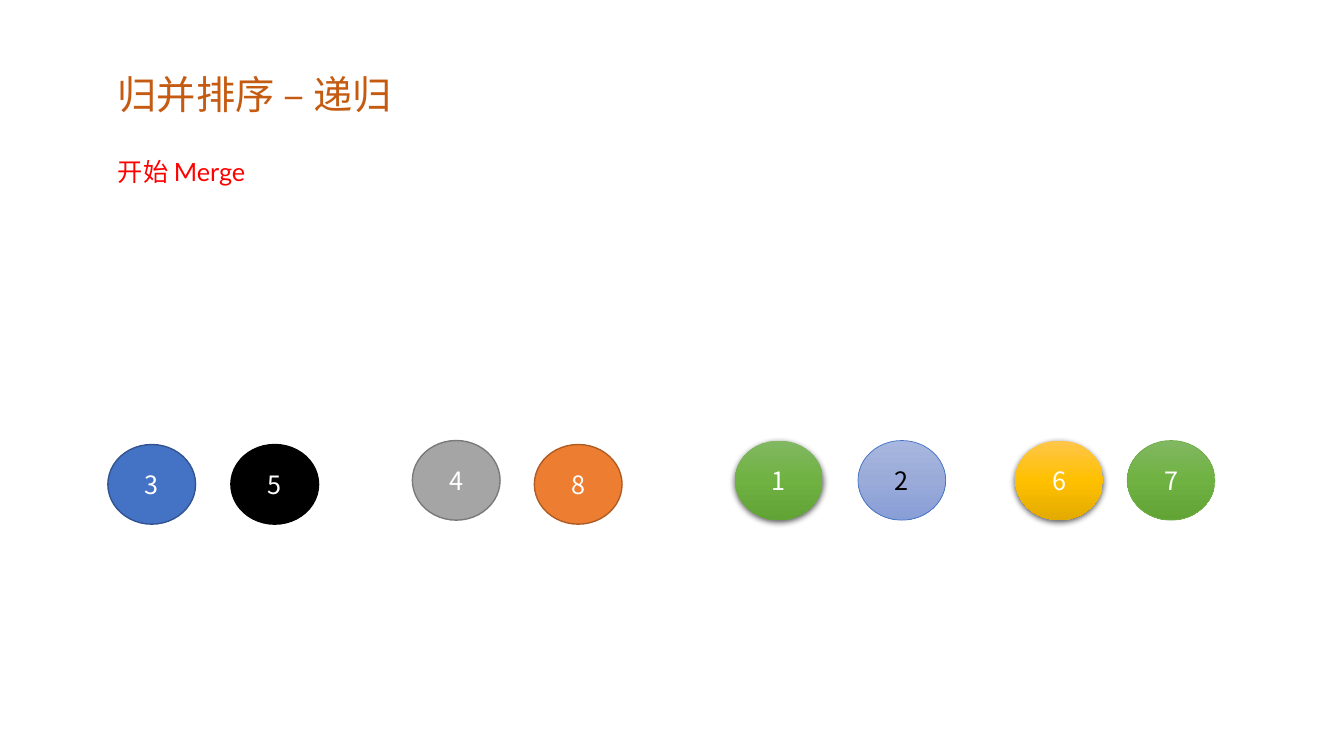
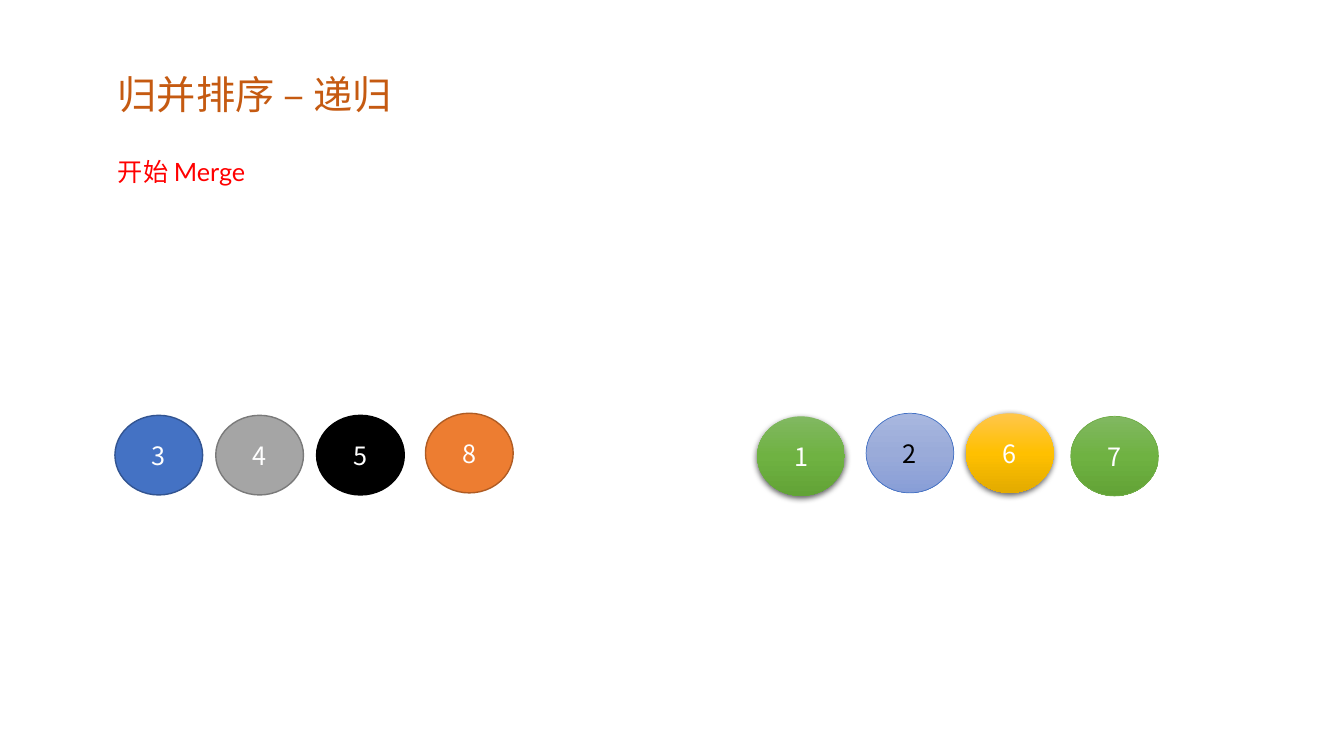
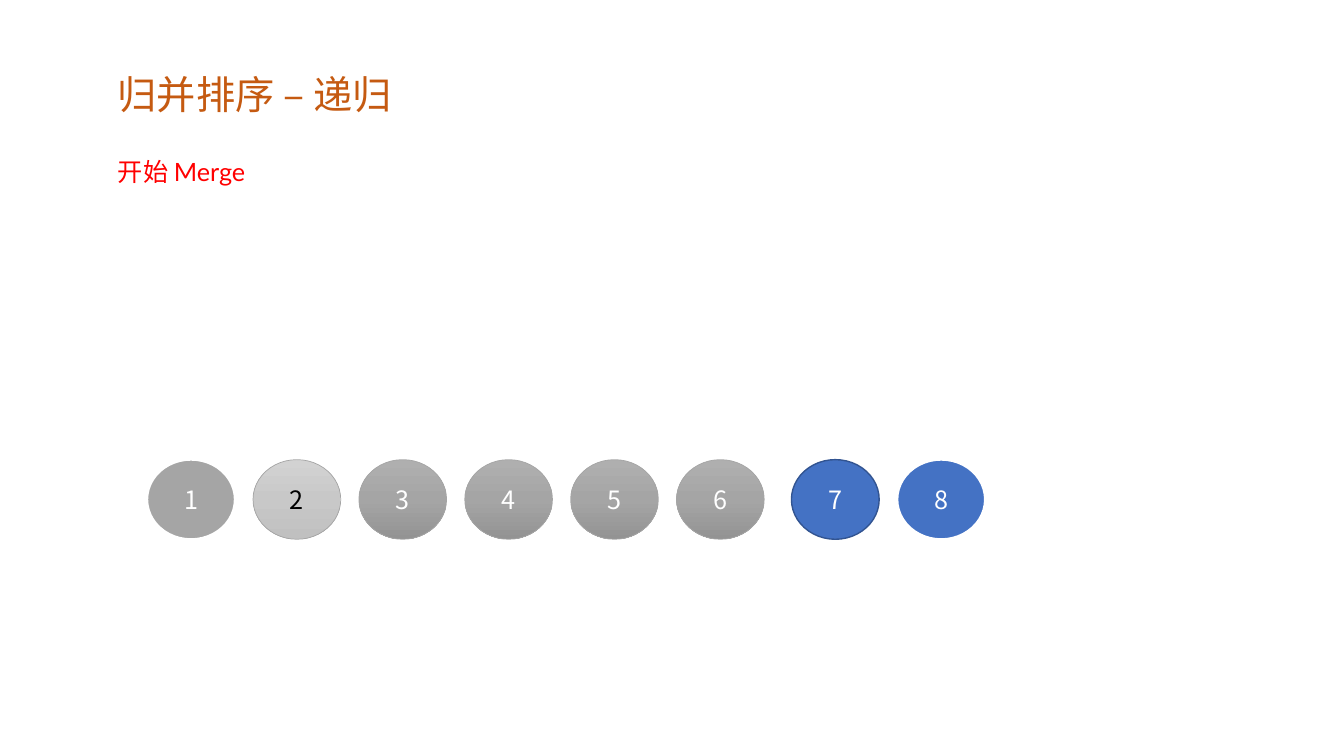
"""Build three slides that show the merge steps of a recursive merge sort."""
from copy import deepcopy
from dataclasses import dataclass

from pptx import Presentation
from pptx.dml.color import RGBColor
from pptx.enum.shapes import MSO_SHAPE
from pptx.enum.text import MSO_ANCHOR, PP_ALIGN
from pptx.oxml import parse_xml
from pptx.oxml.ns import nsdecls, qn
from pptx.oxml.xmlchemy import OxmlElement
from pptx.shapes.autoshape import Shape
from pptx.slide import Slide
from pptx.text.text import TextFrame
from pptx.util import Inches, Length, Pt

CELL = 0.1
BALL_COLUMNS, BALL_ROWS = 8.7, 7.9
CJK_FONT = "Noto Sans CJK SC"
SHADOW = (
    f'<a:outerShdw {nsdecls("a")} blurRad="{Pt(4.5)}" dist="{Pt(1.5)}" dir="5400000" '
    'algn="ctr" rotWithShape="0"><a:srgbClr val="000000"><a:alpha val="63000"/>'
    "</a:srgbClr></a:outerShdw>"
)


@dataclass(frozen=True)
class BallStyle:
    """Look of a ball: one fill colour is solid, three make a gradient."""
    fills: tuple[str, ...]
    line: str = ""
    line_width: float = 1
    text: str = "FFFFFF"
    shadow: bool = False


@dataclass(frozen=True)
class BallRow:
    """Evenly spaced balls, placed in grid columns and rows."""
    column: float
    row: float
    pitch: float
    balls: tuple[tuple[int, BallStyle], ...]


@dataclass(frozen=True)
class Heading:
    """A line of text placed on the grid."""
    text: str
    row: float
    columns: float
    rows: float
    size: float
    color: str


GREEN_FILLS = ("81B861", "6FB242", "62A336")
BLUE = BallStyle(("4472C4",), "325491")
BLACK = BallStyle(("000000",), "000000")
GRAY = BallStyle(("A5A5A5",), "7A7A7A")
ORANGE = BallStyle(("ED7D31",), "AF5C24")
RAISED_GREEN = BallStyle(GREEN_FILLS, shadow=True)
GREEN = BallStyle(GREEN_FILLS, "70AD47", 0.5)
PALE_BLUE = BallStyle(("A8B7DF", "9AABD9", "889ED7"), "4472C4", 0.5, "000000")
RAISED_GOLD = BallStyle(("FFC64B", "FFC000", "E3AB00"), shadow=True)
RIMMED_GRAY = BallStyle(("A5A5A5",), "FFFFFF", 1.5)
RIMMED_BLUE = BallStyle(("4472C4",), "FFFFFF", 1.5)
PALE_GRAY = BallStyle(("D2D2D2", "C8C8C8", "C0C0C0"), "A5A5A5", 0.5, "000000")
SHADED_GRAY = BallStyle(("AFAFAF", "A5A5A5", "939393"), "A5A5A5", 0.5)

HEADING_COLUMN = 10.7
HEADINGS = (
    Heading("归并排序 – 递归", 6.5, 31.5, 5.7, 28, "C55A11"),
    Heading("开始 Merge", 15, 16.5, 4, 18, "FF0000"),
)
SORTED_PAIRS = (
    BallRow(10.7, 44.1, 12.2, ((3, BLUE), (5, BLACK))),
    BallRow(40.9, 43.7, 12.2, ((4, GRAY),)),
    BallRow(53, 44.1, 12.2, ((8, ORANGE),)),
    BallRow(72.9, 43.7, 12.2, ((1, RAISED_GREEN), (2, PALE_BLUE))),
    BallRow(100.7, 43.7, 11.1, ((6, RAISED_GOLD), (7, GREEN))),
)
SORTED_HALVES = (
    BallRow(11.4, 41.2, 10, ((3, BLUE), (4, GRAY), (5, BLACK))),
    BallRow(42.2, 41, 10, ((8, ORANGE),)),
    BallRow(75.1, 41.3, 31.1, ((1, RAISED_GREEN), (7, GREEN))),
    BallRow(85.9, 41, 9.9, ((2, PALE_BLUE), (6, RAISED_GOLD))),
)
SORTED_ALL = (
    BallRow(14.6, 45.6, 10.5, (
        (1, RIMMED_GRAY), (2, PALE_GRAY), *((value, SHADED_GRAY) for value in range(3, 7)),
    )),
    BallRow(78.5, 45.6, 10.5, ((7, BLUE), (8, RIMMED_BLUE))),
)


def grid(cells: float) -> Length:
    """Turn a number of grid cells into a length."""
    return Inches(cells * CELL)


def color(value: str) -> RGBColor:
    """Turn a hex string into a colour."""
    return RGBColor.from_string(value)


def write(text_frame: TextFrame, text: str, size: float, font_name: str, text_color: str) -> None:
    """Set the text of a frame and format its run."""
    text_frame.text = text
    run = text_frame.paragraphs[0].runs[0]
    run.font.size = Pt(size)
    run.font.name = font_name
    run.font.color.rgb = color(text_color)
    east_asian = OxmlElement("a:ea")
    east_asian.set("typeface", CJK_FONT)
    run.font._element.append(east_asian)


def fill_shape(shape: Shape, fills: tuple[str, ...]) -> None:
    """Fill a shape with one colour or a downward gradient of three."""
    if len(fills) == 1:
        shape.fill.solid()
        shape.fill.fore_color.rgb = color(fills[0])
        return
    shape.fill.gradient()
    shape.fill.gradient_angle = 270
    stop_list = shape._element.spPr.find(".//" + qn("a:gsLst"))
    stop_list.insert(1, deepcopy(stop_list[0]))
    for index, (stop, value) in enumerate(zip(shape.fill.gradient_stops, fills)):
        stop.position = index / 2
        stop.color.rgb = color(value)


def add_ball(slide: Slide, column: float, row: float, value: int, style: BallStyle) -> None:
    """Draw one numbered ball."""
    shape = slide.shapes.add_shape(
        MSO_SHAPE.OVAL, grid(column), grid(row), grid(BALL_COLUMNS), grid(BALL_ROWS)
    )
    fill_shape(shape, style.fills)
    if style.line:
        shape.line.color.rgb = color(style.line)
        shape.line.width = Pt(style.line_width)
    else:
        shape.line.fill.background()
    shape.shadow.inherit = False
    if style.shadow:
        shape._element.spPr.find(qn("a:effectLst")).append(parse_xml(SHADOW))
    write(shape.text_frame, str(value), 18, CJK_FONT, style.text)
    shape.text_frame.vertical_anchor = MSO_ANCHOR.MIDDLE
    shape.text_frame.paragraphs[0].alignment = PP_ALIGN.CENTER


def add_heading(slide: Slide, heading: Heading) -> None:
    """Draw one heading line."""
    text_box = slide.shapes.add_textbox(
        grid(HEADING_COLUMN), grid(heading.row), grid(heading.columns), grid(heading.rows)
    )
    text_box.text_frame.word_wrap = True
    write(text_box.text_frame, heading.text, heading.size, "Lato", heading.color)


def main() -> None:
    """Build and save the presentation."""
    presentation = Presentation()
    presentation.slide_width, presentation.slide_height = Inches(13.33), Inches(7.5)
    for ball_rows in (SORTED_PAIRS, SORTED_HALVES, SORTED_ALL):
        slide = presentation.slides.add_slide(presentation.slide_layouts[6])
        for ball_row in ball_rows:
            for index, (value, style) in enumerate(ball_row.balls):
                add_ball(slide, ball_row.column + index * ball_row.pitch, ball_row.row, value, style)
        for heading in HEADINGS:
            add_heading(slide, heading)
    presentation.save("out.pptx")


if __name__ == "__main__":
    main()
